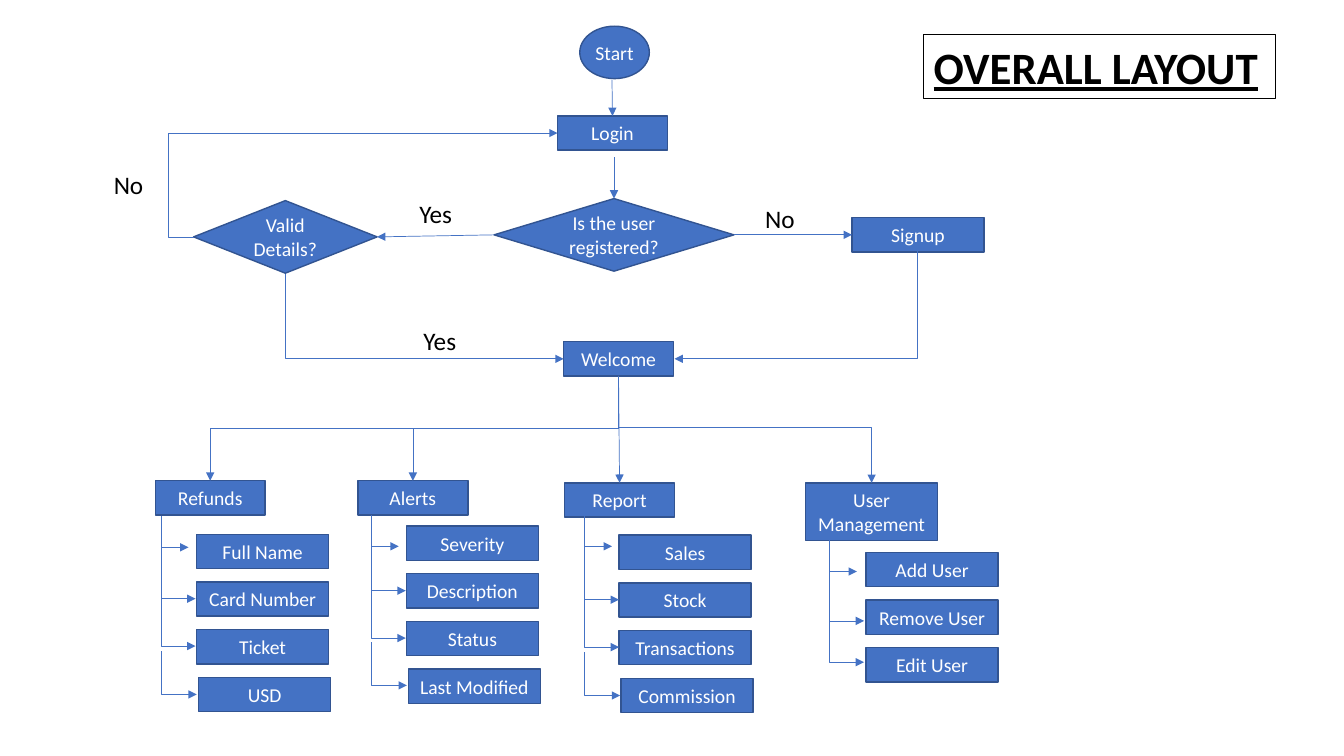
from collections import namedtuple

from pptx import Presentation
from pptx.dml.color import RGBColor
from pptx.enum.shapes import MSO_CONNECTOR as Connector, MSO_SHAPE as Shape
from pptx.enum.text import MSO_ANCHOR as Anchor, MSO_AUTO_SIZE as AutoSize, PP_ALIGN as Align
from pptx.oxml.ns import qn
from pptx.util import Inches, Pt

BLUE = RGBColor(0x44, 0x72, 0xC4)
DARK_BLUE = RGBColor(0x32, 0x54, 0x91)
WHITE = RGBColor(0xFF, 0xFF, 0xFF)
BLACK = RGBColor(0, 0, 0)
FONT = "Calibri"

# All lengths are squares of a grid with ten columns and ten rows to the inch
SQUARE = Inches(0.1)
BOX_HEIGHT = 3.4
NARROW, WIDE = 10.9, 13.1
ITEM_PITCH = 4.73
LAST_ITEM_SHIFT = 0.2
BRANCH_RISES = (3.1, 7.3, 6.0, 4.3)
BRANCH_RUNS = (2.7, 3.4, 3.4, 3.5)

# Places of the parts are counted from the left top corner of the module
Module = namedtuple("Module", "name left top width height items item_left item_top trunk branch_ends")
MODULES = (
    Module("Refunds", 15.4, 47.7, NARROW, BOX_HEIGHT,
           ("Full Name", "Card Number", "Ticket", "USD"), 4.1, 5.3, 0.6, (6.6, 11.7, 16.4, 21.2)),
    Module("Alerts", 35.5, 47.7, NARROW, BOX_HEIGHT,
           ("Severity", "Description", "Status", "Last Modified"), 4.8, 4.5, 1.35, (6.5, 10.9, 15.6, 20.3)),
    Module("Report", 56, 47.9, NARROW, BOX_HEIGHT,
           ("Sales", "Stock", "Transactions", "Commission"), 5.4, 5.2, 2, (6.3, 11.6, 16.3, 21.1)),
    Module("User Management", 79.9, 47.9, WIDE, 5.7,
           ("Add User", "Remove User", "Edit User"), 6, 6.9, 2.4, (8.8, 13.7, 17.8)),
)


def grid(*squares):
    return [round(value * SQUARE) for value in squares]


def write(text_frame, text, size, color, align):
    text_frame.word_wrap = True
    paragraph = text_frame.paragraphs[0]
    paragraph.alignment = align
    run = paragraph.add_run()
    run.text = text
    run.font.name = FONT
    run.font.size = Pt(size)
    run.font.color.rgb = color
    return run


def add_node(slide, text, left, top, width, height=BOX_HEIGHT, kind=Shape.RECTANGLE):
    shape = slide.shapes.add_shape(kind, *grid(left, top, width, height))
    shape.shadow.inherit = False
    shape.fill.solid()
    shape.fill.fore_color.rgb = BLUE
    shape.line.color.rgb = DARK_BLUE
    shape.line.width = Pt(1)
    shape.text_frame.vertical_anchor = Anchor.MIDDLE
    write(shape.text_frame, text, 14, WHITE, Align.CENTER)
    if kind == Shape.OVAL:
        shape.text_frame.margin_left = shape.text_frame.margin_right = 0
    return shape


def add_label(slide, text, left, top):
    label = slide.shapes.add_textbox(*grid(left, top, 6.5, 4.1))
    write(label.text_frame, text, 18, BLACK, Align.LEFT)


def style_arrow(connector):
    connector.line.color.rgb = BLUE
    connector.line.width = Pt(0.5)
    line = connector.line._get_or_add_ln()
    line.append(line.makeelement(qn("a:tailEnd"), {"type": "triangle"}))
    properties = connector._element.spPr
    properties.append(properties.makeelement(qn("a:effectLst"), {}))


def add_arrow(slide, start=(0, 0), end=(0, 0), source=None, target=None):
    """Straight arrow; source and target are pairs of a node and its side."""
    connector = slide.shapes.add_connector(Connector.STRAIGHT, *grid(*start, *end))
    if source:
        connector.begin_connect(*source)
    if target:
        connector.end_connect(*target)
    style_arrow(connector)


def add_elbow(slide, start, end, vertical_first=True, bend=None):
    """Right-angled arrow: one corner, or two when bend gives the share before the first."""
    run, rise = end[0] - start[0], end[1] - start[1]
    width, height = abs(run), abs(rise)
    if vertical_first:
        width, height = height, width
        rotation, flipped = (270, True) if run >= 0 else (90, False)
    else:
        rotation, flipped = (180, True) if rise < 0 else (0, False)
    left = (start[0] + end[0] - width) / 2
    top = (start[1] + end[1] - height) / 2
    connector = slide.shapes.add_connector(
        Connector.ELBOW, *grid(left, top, left + width, top + height))
    properties = connector._element.spPr
    frame = properties.find(qn("a:xfrm"))
    frame.set("rot", str(rotation * 60000))
    frame.set("flipH", str(int(flipped)))
    geometry = properties.find(qn("a:prstGeom"))
    if bend is None:
        geometry.set("prst", "bentConnector2")
    else:
        adjustments = geometry.find(qn("a:avLst"))
        adjustments.append(adjustments.makeelement(
            qn("a:gd"), {"name": "adj1", "fmla": f"val {round(bend * 100000)}"}))
    style_arrow(connector)


def draw_title(slide, left, top, width, height):
    title = slide.shapes.title
    title.left, title.top, title.width, title.height = grid(left, top, width, height)
    title.fill.solid()
    title.fill.fore_color.rgb = WHITE
    title.line.color.rgb = BLACK
    title.line.width = Pt(1)
    title.text_frame.auto_size = AutoSize.NONE
    title.text_frame.vertical_anchor = Anchor.MIDDLE
    run = write(title.text_frame, "OVERALL LAYOUT", 32, BLACK, Align.LEFT)
    run.font.bold = True
    run.font.underline = True


def draw_sign_in(slide, left, top):
    """Draws the way from start to welcome and returns the welcome node."""
    def place(column, row):
        return left + column, top + row

    # Steps and decisions
    add_node(slide, "Start", *place(47.5, 0.6), 6.9, 5.2, Shape.OVAL)
    login = add_node(slide, "Login", *place(45.3, 9.5), NARROW)
    registered = add_node(slide, "Is the user registered?", *place(39, 17.7), 23.8, 7.2,
                          Shape.FLOWCHART_DECISION)
    valid = add_node(slide, "Valid Details?", *place(9.2, 17.9), 18.2, 7.2,
                     Shape.FLOWCHART_DECISION)
    signup = add_node(slide, "Signup", *place(74.5, 19.6), WIDE)
    welcome = add_node(slide, "Welcome", *place(45.9, 31.9), NARROW)

    # Straight arrows
    add_arrow(slide, start=place(50.7, 5.9), target=(login, 0))
    add_arrow(slide, start=place(50.9, 13.6), target=(registered, 0))
    add_arrow(slide, source=(registered, 1), target=(valid, 3))
    add_arrow(slide, source=(registered, 3), target=(signup, 1))

    # Bent arrows: back to login, then on to welcome from both sides
    add_elbow(slide, place(9.2, 21.5), place(45.3, 11.2), vertical_first=False, bend=-0.07)
    add_elbow(slide, place(18.3, 25.2), place(45.9, 33.6))
    add_elbow(slide, place(81, 22.9), place(56.9, 33.6))

    # Answers
    for answer, column, row in (("Yes", 30.6, 17.2), ("No", 64.9, 17.7),
                                ("Yes", 31, 29.8), ("No", 0.3, 14.3)):
        add_label(slide, answer, *place(column, row))
    return welcome


def draw_module(slide, module):
    """Draws a module with its items and returns the heading node."""
    heading = add_node(slide, module.name, module.left, module.top, module.width, module.height)
    for index, item in enumerate(module.items):
        shift = LAST_ITEM_SHIFT if index == 3 else 0
        add_node(slide, item, module.left + module.item_left + shift,
                 module.top + module.item_top + index * ITEM_PITCH, WIDE)
    trunk = module.left + module.trunk
    for branch_end, rise, run in zip(module.branch_ends, BRANCH_RISES, BRANCH_RUNS):
        row = module.top + branch_end
        add_elbow(slide, (trunk, row - rise), (trunk + run, row))
    return heading


def draw_modules(slide, welcome):
    refunds, alerts, report, users = [draw_module(slide, module) for module in MODULES]
    fork_column = (welcome.left + welcome.width / 2) / SQUARE
    fork_row = (welcome.top + welcome.height) / SQUARE

    def top_middle(node):
        return (node.left + node.width / 2) / SQUARE, node.top / SQUARE

    for node in (refunds, alerts):
        add_elbow(slide, (fork_column, fork_row), top_middle(node), bend=0.5)
    add_arrow(slide, source=(welcome, 2), target=(report, 0))
    add_elbow(slide, (fork_column, fork_row + 5.1), top_middle(users), vertical_first=False)


def main():
    presentation = Presentation()
    presentation.slide_width, presentation.slide_height = Inches(13.33), Inches(7.5)
    slide = presentation.slides.add_slide(presentation.slide_layouts[5])
    draw_title(slide, 91.6, 3.4, 34.9, 6.4)
    welcome = draw_sign_in(slide, 10, 2)
    draw_modules(slide, welcome)
    presentation.save("out.pptx")


if __name__ == "__main__":
    main()
